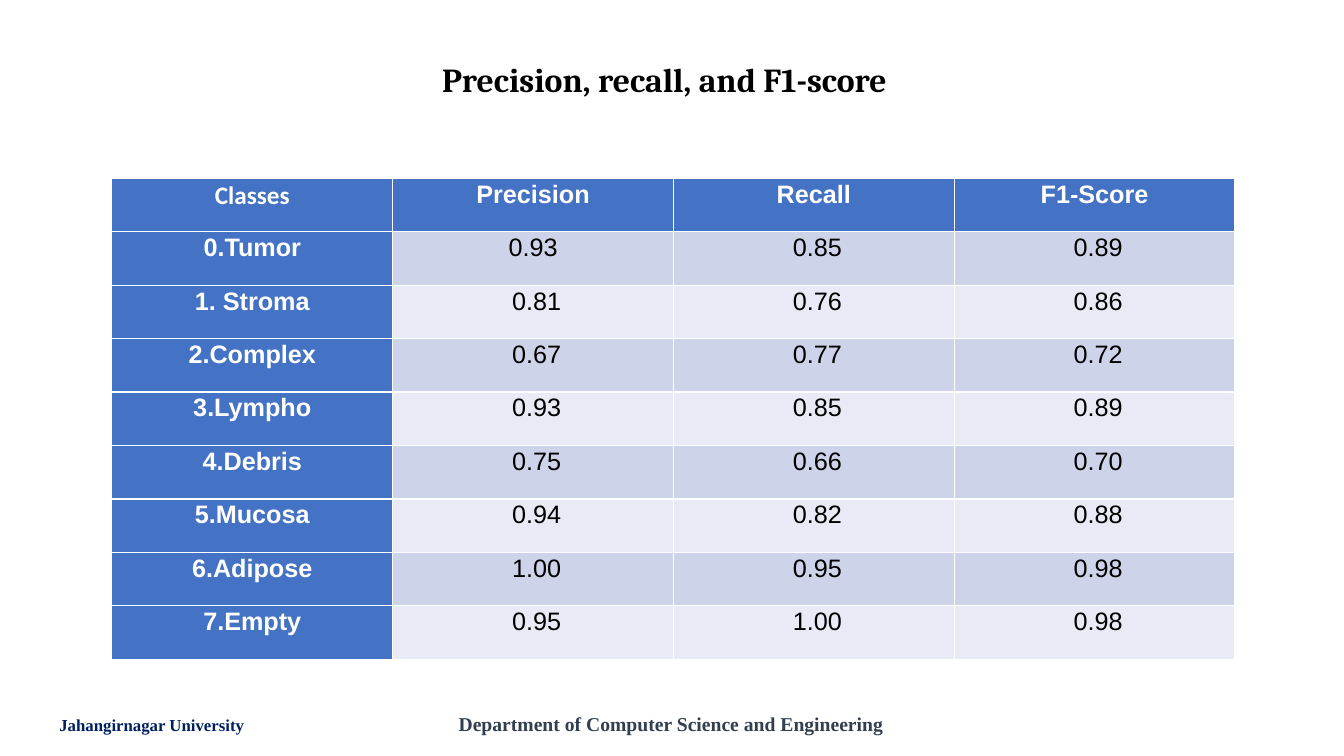
"""Build the slide with the precision, recall and F1-score table."""
from pptx import Presentation
from pptx.dml.color import RGBColor
from pptx.enum.text import MSO_ANCHOR as ANCHOR, PP_ALIGN as ALIGN
from pptx.util import Inches, Pt


def rgb(value):
    return RGBColor.from_string(value)


def style(p, size, face, color, bold=True, align=ALIGN.LEFT, spacing=1.0):
    p.alignment = align
    p.line_spacing = spacing
    for r in p.runs:
        r.font.size = Pt(size)
        r.font.name = face
        r.font.bold = bold
        r.font.color.rgb = rgb(color)


prs = Presentation()
prs.slide_width, prs.slide_height = Inches(13.33), Inches(7.5)
s = prs.slides.add_slide(prs.slide_layouts[5])

footers = [
    ("Jahangirnagar University", 0.49, 7.04, 2.28, 0.3, 12, "002060", ALIGN.LEFT),
    ("Department of Computer Science and Engineering",
     4.45, 7.01, 5.19, 0.34, 14, "323F4F", ALIGN.JUSTIFY),
]
for text, left, top, width, height, size, color, align in footers:
    sp = s.shapes.add_textbox(Inches(left), Inches(top), Inches(width), Inches(height))
    tf = sp.text_frame
    tf.word_wrap = True
    tf.text = text
    style(tf.paragraphs[0], size, "Times New Roman", color, align=align)

header = ["Classes", "Precision", "Recall", "F1-Score"]
scores = [
    ("0.Tumor", 0.93, 0.85, 0.89),
    ("1. Stroma", 0.81, 0.76, 0.86),
    ("2.Complex", 0.67, 0.77, 0.72),
    ("3.Lympho", 0.93, 0.85, 0.89),
    ("4.Debris", 0.75, 0.66, 0.70),
    ("5.Mucosa", 0.94, 0.82, 0.88),
    ("6.Adipose", 1.00, 0.95, 0.98),
    ("7.Empty", 0.95, 1.00, 0.98),
]
rows = [header] + [[name] + [f"{v:.2f}" for v in values] for name, *values in scores]
col_w, row_h = 2.785, 0.53
table = s.shapes.add_table(
    len(rows), len(header), Inches(1.11), Inches(1.77),
    Inches(col_w * len(header)), Inches(row_h * len(rows))).table
table.first_col = True
for i, row in enumerate(rows):
    table.rows[i].height = Inches(row_h)
    for j, text in enumerate(row):
        cell = table.cell(i, j)
        heading = i == 0 or j == 0
        indented = not heading and (i, j) != (1, 1)
        cell.margin_left = Inches(0.14 if indented else 0.07)
        cell.margin_right = Inches(0.07)
        cell.margin_top = cell.margin_bottom = 0
        cell.fill.solid()
        cell.fill.fore_color.rgb = rgb(
            "4472C4" if heading else "CDD4EA" if i % 2 else "E8EBF5")
        cell.text_frame.text = text
        style(cell.text_frame.paragraphs[0], 18,
              "Calibri" if i == j == 0 else "Arial",
              "FFFFFF" if heading else "000000", heading, ALIGN.CENTER, 1.07)

title = s.shapes.title
title.left, title.top = Inches(2.52), Inches(0.36)
title.width, title.height = Inches(8.14), Inches(0.9)
tf = title.text_frame
tf.text = "Precision, recall, and F1-score"
tf.vertical_anchor = ANCHOR.MIDDLE
style(tf.paragraphs[0], 24, "Cambria", "000000", align=ALIGN.CENTER, spacing=0.9)

prs.save("out.pptx")
